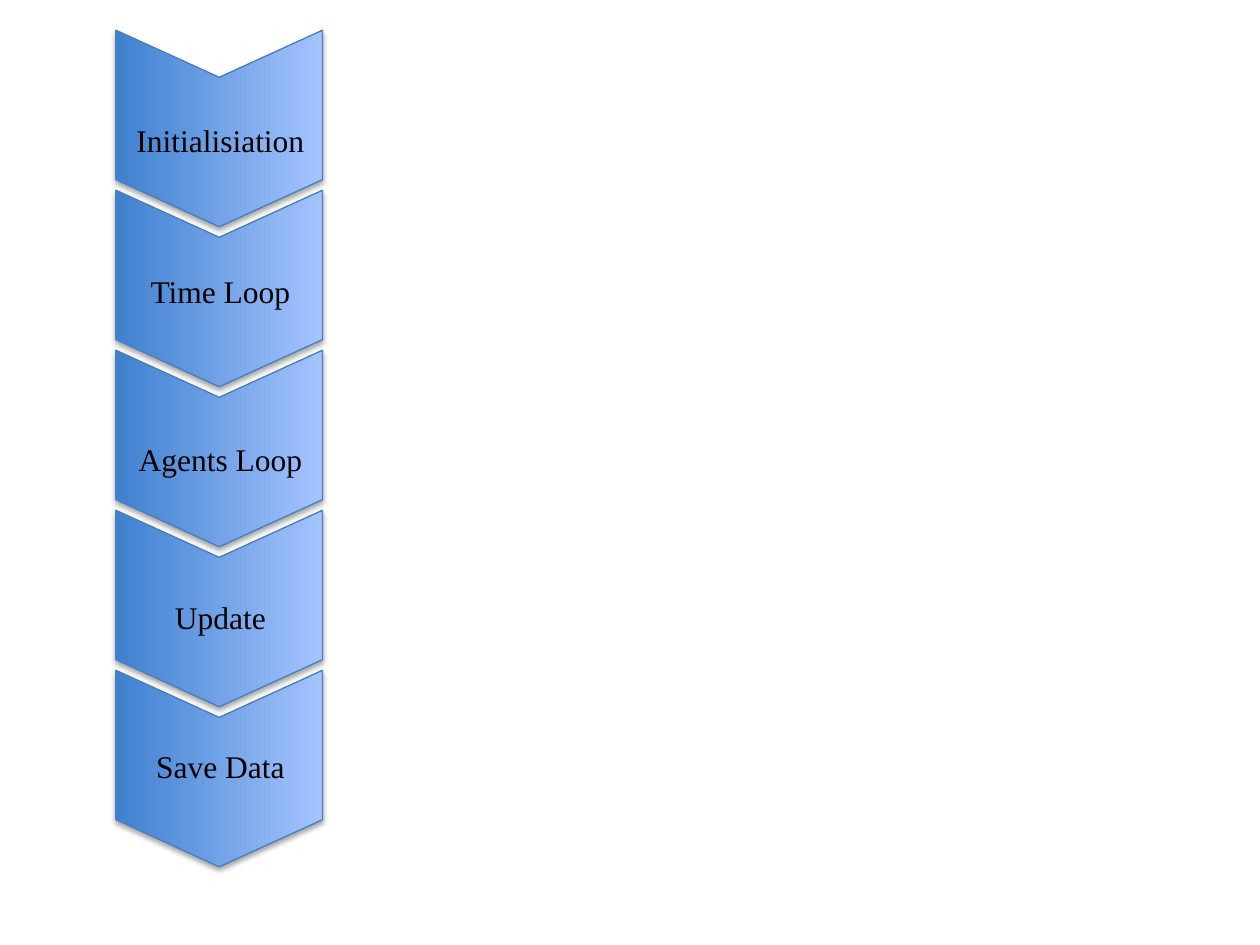
from dataclasses import dataclass

from lxml import etree
from pptx import Presentation
from pptx.dml.color import RGBColor
from pptx.enum.shapes import MSO_SHAPE
from pptx.enum.text import MSO_AUTO_SIZE, PP_ALIGN
from pptx.oxml.ns import qn
from pptx.util import Inches, Pt

CHEVRON = MSO_SHAPE.CHEVRON
CENTER = PP_ALIGN.CENTER
GROW = MSO_AUTO_SIZE.SHAPE_TO_FIT_TEXT
BLANK_LAYOUT = 6


@dataclass(frozen=True)
class Theme:
    gradient: tuple = ("3F80CE", "A4C4FF")
    outline: str = "4B7EBC"
    shadow: str = "000000"
    text: str = "000000"
    font: str = "Times New Roman"
    text_size: float = 18
    line_width: float = 0.75


THEME = Theme()

# Step grid, in inches
CHEVRON_LEFT, FIRST_TOP, ROW_PITCH = 0.96, 0.2, 1.27
CHEVRON_WIDTH, CHEVRON_HEIGHT = 1.56, 1.64
LABEL_LEFT, LABEL_WIDTH, LABEL_HEIGHT = 0.92, 1.66, 0.4

# Label and its top edge, in inches
STEPS = (
    ("Initialisiation", 0.91),
    ("Time Loop", 2.11),
    ("Agents Loop", 3.44),
    ("Update", 4.7),
    ("Save Data", 5.88),
)


def add_soft_shadow(shape):
    shape.shadow.inherit = False
    effects = shape.element.spPr.find(qn("a:effectLst"))
    shadow = etree.SubElement(
        effects, qn("a:outerShdw"), blurRad=str(Pt(3.1)), dist=str(Pt(1.8)),
        dir="5400000", rotWithShape="0")
    color = etree.SubElement(shadow, qn("a:srgbClr"), val=THEME.shadow)
    etree.SubElement(color, qn("a:alpha"), val="35000")


def add_step_chevron(slide, row):
    shape = slide.shapes.add_shape(
        CHEVRON, Inches(CHEVRON_LEFT), Inches(FIRST_TOP + row * ROW_PITCH),
        Inches(CHEVRON_WIDTH), Inches(CHEVRON_HEIGHT))
    shape.rotation = 90
    shape.adjustments[0] = 0.24
    shape.fill.gradient()
    shape.fill.gradient_angle = 90
    for stop, color in zip(shape.fill.gradient_stops, THEME.gradient):
        stop.color.rgb = RGBColor.from_string(color)
    shape.line.color.rgb = RGBColor.from_string(THEME.outline)
    shape.line.width = Pt(THEME.line_width)
    add_soft_shadow(shape)


def add_label(slide, text, top):
    box = slide.shapes.add_textbox(
        Inches(LABEL_LEFT), Inches(top), Inches(LABEL_WIDTH), Inches(LABEL_HEIGHT))
    frame = box.text_frame
    frame.word_wrap = True
    frame.auto_size = GROW
    paragraph = frame.paragraphs[0]
    paragraph.alignment = CENTER
    run = paragraph.add_run()
    run.text = text
    run.font.name = THEME.font
    run.font.size = Pt(THEME.text_size)
    run.font.color.rgb = RGBColor.from_string(THEME.text)


def main():
    presentation = Presentation()
    presentation.slide_width = Inches(10)
    presentation.slide_height = Inches(7.5)
    slide = presentation.slides.add_slide(presentation.slide_layouts[BLANK_LAYOUT])

    # Chevron column, then the labels above it
    for row in range(len(STEPS)):
        add_step_chevron(slide, row)
    for text, top in STEPS:
        add_label(slide, text, top)

    presentation.save("out.pptx")


main()
